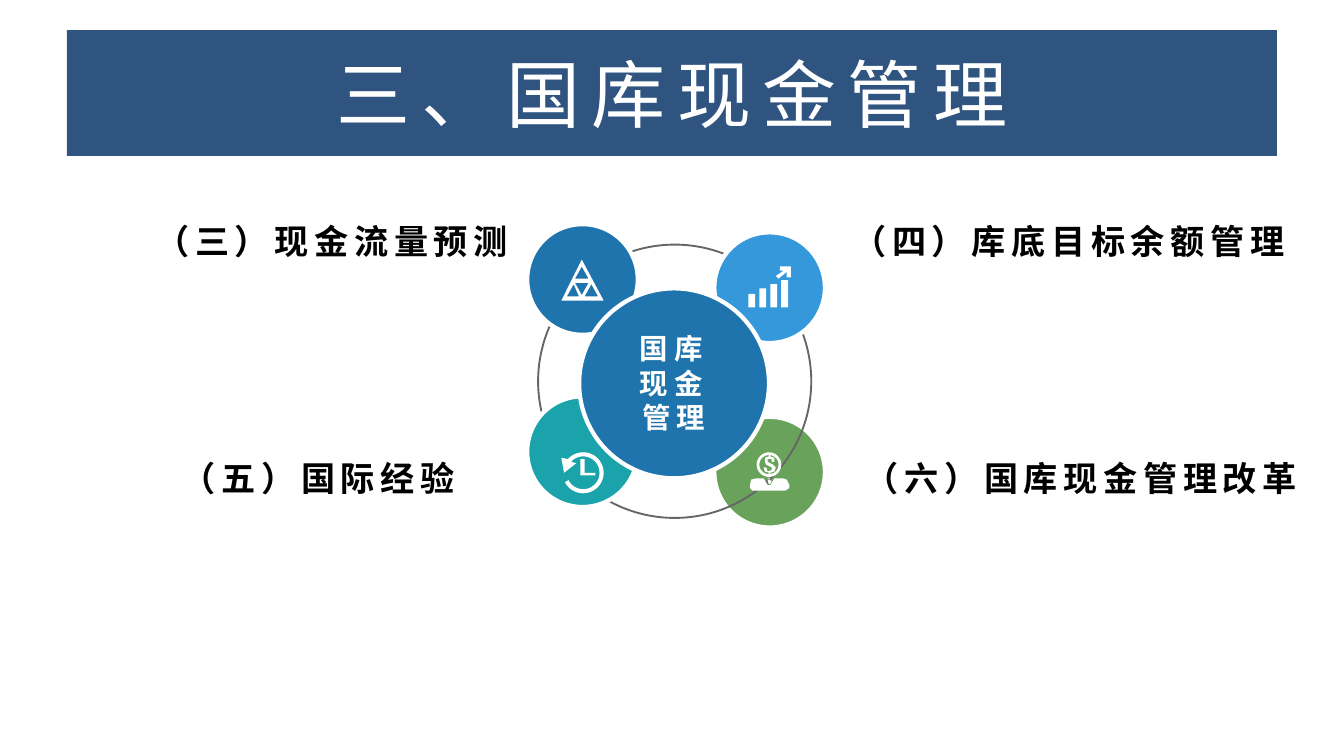
from math import cos, radians, sin

from lxml import etree
from pptx import Presentation
from pptx.dml.color import RGBColor
from pptx.enum import shapes, text
from pptx.oxml.ns import qn
from pptx.util import Inches, Pt

FONT = "Noto Sans CJK SC"
WHITE = RGBColor(0xFF, 0xFF, 0xFF)
BLACK = RGBColor(0, 0, 0)
NAVY = RGBColor(0x30, 0x54, 0x80)
BLUE = RGBColor(0x1F, 0x74, 0xAD)
SKY = RGBColor(0x34, 0x98, 0xDB)
TEAL = RGBColor(0x1A, 0xA3, 0xAA)
GREEN = RGBColor(0x69, 0xA3, 0x5B)
GREY = RGBColor(0x66, 0x66, 0x66)
LEFT, MID, RIGHT = text.PP_ALIGN.LEFT, text.PP_ALIGN.CENTER, text.PP_ALIGN.RIGHT


def write(shape, words, size, color, align, gap, bold=False):
    """Fill a shape with one paragraph; gap is the letter spacing in points."""
    frame = shape.text_frame
    frame.word_wrap = True
    frame.vertical_anchor = text.MSO_ANCHOR.MIDDLE
    frame.margin_left = frame.margin_right = Inches(0.07)
    frame.margin_top = frame.margin_bottom = Inches(0.04)
    para = frame.paragraphs[0]
    para.text = words
    para.alignment = align
    font = para.font
    font.size, font.bold = Pt(size), bold
    font.color.rgb = color
    font.name = FONT
    props = para._p.pPr.find(qn("a:defRPr"))
    props.set("spc", str(gap * 100))
    etree.SubElement(props, qn("a:ea")).set("typeface", FONT)
    return frame


def arc(x, y, r, start=0, end=360):
    """Points along an arc, in degrees clockwise from the right."""
    turns = [radians(start + (end - start) * i / 48) for i in range(49)]
    return [(x + r * cos(t), y + r * sin(t)) for t in turns]


deck = Presentation()
deck.slide_width, deck.slide_height = Inches(9.84), Inches(5.51)
slide = deck.slides.add_slide(deck.slide_layouts[6])
items = slide.shapes

# Discs and ring, from back to front
discs = [
    (5.23, 3.05, 0.81, GREEN, WHITE, 2.25),
    (3.94, 1.79, 2, None, GREY, 1),
    (3.86, 1.64, 0.81, BLUE, WHITE, 2.25),
    (3.86, 2.9, 0.81, TEAL, WHITE, 2.25),
    (5.23, 1.7, 0.81, SKY, WHITE, 2.25),
    (4.24, 2.11, 1.39, BLUE, WHITE, 2.25),
]
for x, y, size, fill, edge, width in discs:
    disc = items.add_shape(shapes.MSO_SHAPE.OVAL, Inches(x), Inches(y), Inches(size), Inches(size))
    disc.shadow.inherit = False
    if fill is None:
        disc.fill.background()
    else:
        disc.fill.solid()
        disc.fill.fore_color.rgb = fill
    disc.line.color.rgb = edge
    disc.line.width = Pt(width)

# Icons: each is a list of closed outlines
prism = [
    [(4.26, 1.9), (4.11, 2.2), (4.42, 2.2)],
    [(4.26, 1.95), (4.31, 2.04), (4.21, 2.04)],
    [(4.15, 2.17), (4.2, 2.08), (4.24, 2.17)],
    [(4.21, 2.07), (4.31, 2.07), (4.26, 2.16)],
    [(4.33, 2.08), (4.38, 2.17), (4.28, 2.17)],
]
clock = [
    arc(4.27, 3.46, 0.15, -138, 153) + arc(4.27, 3.46, 0.12, 153, -138)
    + [(4.22, 3.39), (4.13, 3.46), (4.11, 3.35)],
    [(4.25, 3.36), (4.28, 3.36), (4.28, 3.46), (4.36, 3.46), (4.36, 3.48), (4.25, 3.48)],
]
chart = [[(5.71, 1.95), (5.79, 1.95), (5.79, 2.03), (5.76, 2.03), (5.76, 1.99),
          (5.7, 2.04), (5.68, 2.02), (5.74, 1.98), (5.71, 1.98)]]
for i, top in enumerate([2.15, 2.11, 2.08, 2.05]):
    x = 5.48 + 0.08 * i
    chart.append([(x, top), (x + 0.05, top), (x + 0.05, 2.25), (x, 2.25)])
banker = [
    arc(5.63, 3.4, 0.09),
    arc(5.63, 3.4, 0.07),
    [(5.63, 3.33), (5.64, 3.33), (5.64, 3.34), (5.67, 3.35), (5.67, 3.38), (5.65, 3.38),
     (5.65, 3.36), (5.62, 3.36), (5.62, 3.38), (5.66, 3.4), (5.68, 3.42), (5.67, 3.45),
     (5.64, 3.46), (5.64, 3.47), (5.63, 3.47), (5.63, 3.46), (5.6, 3.45), (5.59, 3.42),
     (5.61, 3.42), (5.62, 3.45), (5.65, 3.44), (5.65, 3.42), (5.61, 3.4), (5.6, 3.38),
     (5.6, 3.35), (5.63, 3.34)],
    [(5.59, 3.5), (5.62, 3.55), (5.64, 3.55), (5.67, 3.5), (5.73, 3.5), (5.76, 3.51),
     (5.78, 3.55), (5.78, 3.57), (5.75, 3.59), (5.51, 3.59), (5.49, 3.57), (5.49, 3.55),
     (5.5, 3.51), (5.54, 3.5)],
    [(5.62, 3.5), (5.64, 3.5), (5.63, 3.51), (5.65, 3.52), (5.64, 3.54), (5.63, 3.54),
     (5.62, 3.52), (5.63, 3.51)],
]
for icon in (prism, clock, chart, banker):
    pen = None
    for outline in icon:
        first, *rest = [(Inches(x), Inches(y)) for x, y in outline]
        if pen is None:
            pen = items.build_freeform(*first)
        else:
            pen.move_to(*first)
        pen.add_line_segments(rest, close=True)
    glyph = pen.convert_to_shape()
    glyph.shadow.inherit = False
    glyph.fill.solid()
    glyph.fill.fore_color.rgb = WHITE
    glyph.line.fill.background()

# Labels around the ring
labels = [
    (0.67, 1.6, 3.12, RIGHT, "（三）现金流量预测"),
    (6.17, 1.6, 3.55, LEFT, "（四）库底目标余额管理"),
    (0.83, 3.34, 2.57, RIGHT, "（五）国际经验"),
    (6.26, 3.34, 3.55, LEFT, "（六）国库现金管理改革"),
]
for x, y, width, align, words in labels:
    box = items.add_textbox(Inches(x), Inches(y), Inches(width), Inches(0.31))
    frame = write(box, words, 18, BLACK, align, 3, True)
    frame.vertical_anchor = text.MSO_ANCHOR.BOTTOM
    frame.margin_bottom = 0
    frame.paragraphs[0].line_spacing = 1.2

core = items.add_textbox(Inches(4.51), Inches(2.37), Inches(0.85), Inches(0.86))
write(core, "国库现金管理", 15, WHITE, MID, 3, True)

# Title banner
banner = items.add_shape(shapes.MSO_SHAPE.RECTANGLE, Inches(0.49), Inches(0.22), Inches(8.86), Inches(0.92))
banner.shadow.inherit = False
banner.fill.solid()
banner.fill.fore_color.rgb = NAVY
banner.line.fill.background()
write(banner, "三、国库现金管理", 39, WHITE, MID, 6)

deck.save("out.pptx")
